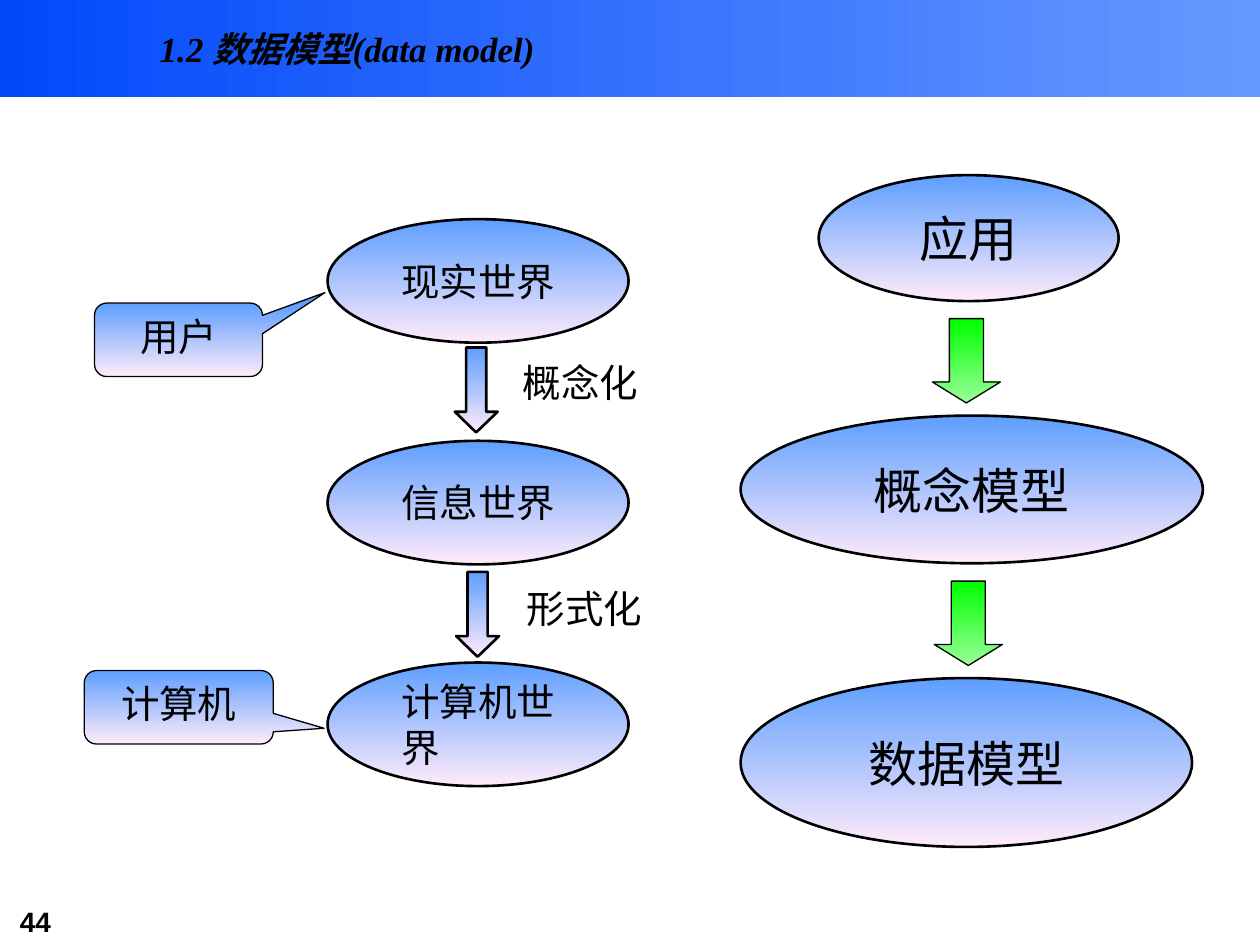
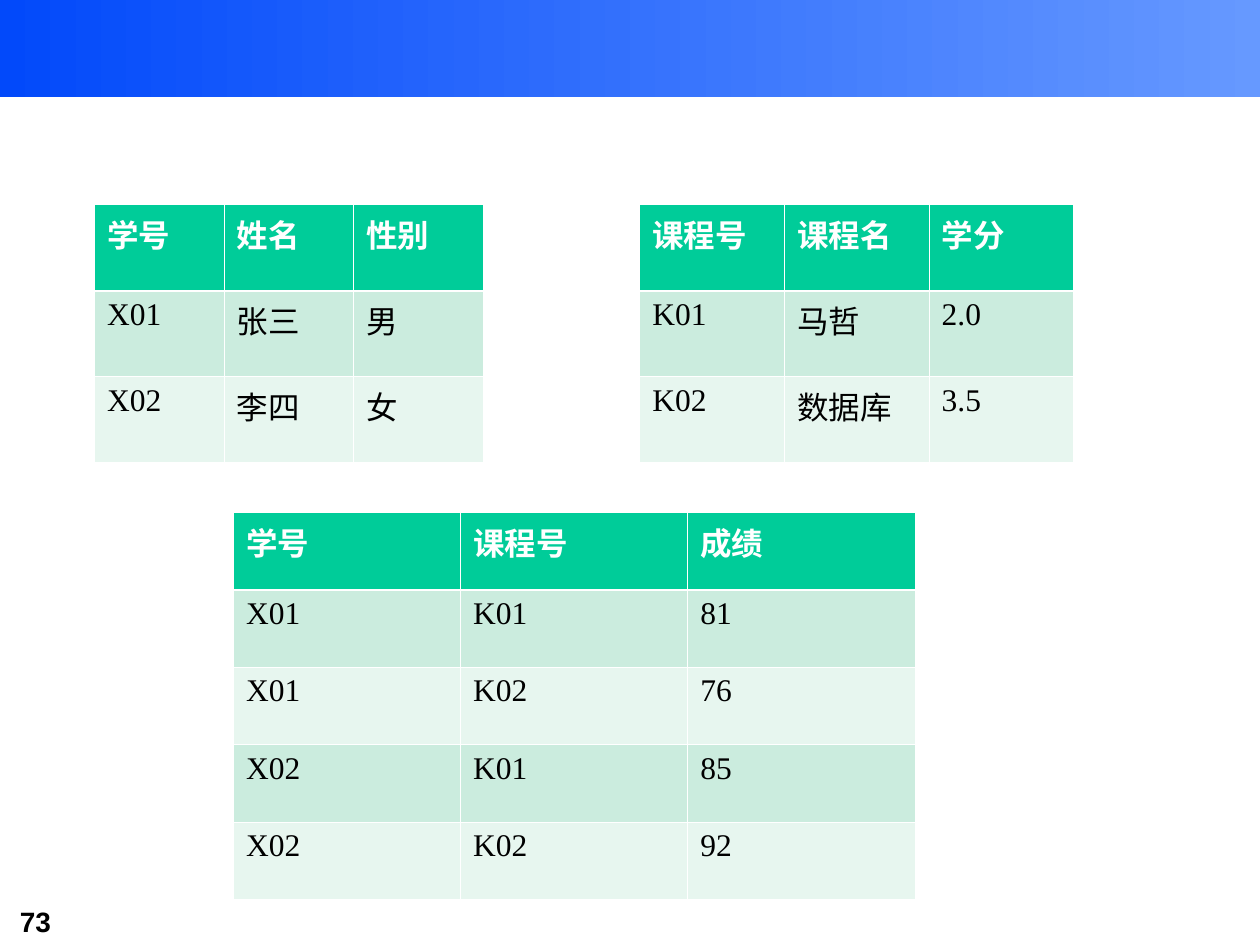
from lxml.etree import SubElement
from pptx import Presentation
from pptx.dml.color import RGBColor
from pptx.enum.shapes import MSO_SHAPE as Shape
from pptx.enum.text import MSO_ANCHOR as Anchor, PP_ALIGN as Align
from pptx.oxml.ns import qn
from pptx.util import Pt

COLORS = {
    "band_start": "0249FA",
    "band_end": "6699FF",
    "node_top": "5E9EFF",
    "node_bottom": "FFEBFA",
    "arrow_top": "00FF00",
    "arrow_bottom": "99FF99",
    "ink": "000000",
    "white": "FFFFFF",
    "header": "00CC99",
    "row_dark": "CBECDE",
    "row_light": "E7F6EF",
}
SERIF = "Times New Roman"
SANS = "Arial"
CHINESE = "Noto Sans CJK SC"
NODE = ("node_top", "node_bottom")
GREEN = ("arrow_top", "arrow_bottom")
DOWNWARD = 270


def color(name):
    return RGBColor.from_string(COLORS[name])


def write_text(frame, text, size=22, font=SERIF, ink="ink", bold=False, italic=False,
               align=Align.LEFT, anchor=Anchor.TOP, wrap=True, centre_block=False,
               margins=None, line_spacing=None, space_before=None):
    frame.word_wrap = wrap
    frame.vertical_anchor = anchor
    if centre_block:
        frame._txBody.bodyPr.set("anchorCtr", "1")
    if margins is not None:
        frame.margin_left = frame.margin_right = Pt(margins)
        frame.margin_top = frame.margin_bottom = Pt(margins)
    paragraph = frame.paragraphs[0]
    paragraph.alignment = align
    if line_spacing:
        paragraph.line_spacing = line_spacing
    if space_before:
        paragraph.space_before = Pt(space_before)
    run = paragraph.add_run()
    run.text = text
    run.font.size = Pt(size)
    run.font.name = font
    run.font.bold = bold
    run.font.italic = italic
    run.font.color.rgb = color(ink)
    SubElement(run._r.get_or_add_rPr(), qn("a:ea"), typeface=CHINESE)


def paint(shape, gradient, angle=DOWNWARD, line_width=None):
    shape.shadow.inherit = False
    shape.fill.gradient()
    shape.fill.gradient_angle = angle
    for stop, name in zip(shape.fill.gradient_stops, gradient):
        stop.color.rgb = color(name)
    if line_width:
        shape.line.color.rgb = color("ink")
        shape.line.width = Pt(line_width)
    else:
        shape.line.fill.background()


def add_painted(shapes, kind, box, gradient=NODE, **style):
    shape = shapes.add_shape(kind, *map(Pt, box))
    paint(shape, gradient, **style)
    return shape


def add_text(shapes, box, text, **style):
    write_text(shapes.add_textbox(*map(Pt, box)).text_frame, text, **style)


def add_ellipse(shapes, box, text, size):
    ellipse = add_painted(shapes, Shape.OVAL, box, line_width=1.5)
    write_text(ellipse.text_frame, text, size=size, font=CHINESE,
               anchor=Anchor.MIDDLE, centre_block=True)


def add_callout(shapes, box, text, tail):
    callout = add_painted(shapes, Shape.ROUNDED_RECTANGULAR_CALLOUT, box, line_width=0.75)
    for index, value in enumerate((*tail, 0.167)):
        callout.adjustments[index] = value
    write_text(callout.text_frame, text, align=Align.CENTER)


def add_step_arrow(shapes, left, top):
    outline = [(0, 36.7), (6.5, 36.7), (6.5, 0), (18, 0), (18, 36.7), (24.5, 36.7), (12.2, 48.5)]
    points = [(Pt(left + x), Pt(top + y)) for x, y in outline]
    builder = shapes.build_freeform(*points[0])
    builder.add_line_segments(points[1:], close=True)
    paint(builder.convert_to_shape(), NODE, line_width=1.5)


def add_frame(slide, number, title=None):
    add_painted(slide.shapes, Shape.RECTANGLE, (0, 0, 720, 55.4),
                ("band_start", "band_end"), angle=0)
    add_text(slide.shapes, (4.3, 513.4, 87.8, 26.6), number,
             size=16, font=SANS, bold=True, space_before=10)
    if title:
        add_text(slide.shapes, (84.2, 0, 390.2, 43.2), title,
                 size=20, bold=True, italic=True, line_spacing=1.5)


def add_worlds(slide, left, top):
    shapes = slide.shapes.add_group_shape().shapes
    pitch = 126.7
    for index, world in enumerate(("现实世界", "信息世界", "计算机世界")):
        add_ellipse(shapes, (left + 139, top + index * pitch, 172, 70.6), world, 22)
    steps = [("概念化", 211.7, 73.4, 250.6, 79.8), ("形式化", 212.5, 201.6, 252.8, 209.4)]
    for label, arrow_x, arrow_y, label_x, label_y in steps:
        add_step_arrow(shapes, left + arrow_x, top + arrow_y)
        add_text(shapes, (left + label_x, top + label_y, 66.2, 26.6), label,
                 font=CHINESE, wrap=False, margins=0)
    add_callout(shapes, (left + 5.8, top + 48, 96, 42), "用户", (0.872, -0.643))
    add_callout(shapes, (left, top + 258, 108, 42), "计算机", (0.769, 0.286))


def add_models(slide, left, top):
    shapes = slide.shapes.add_group_shape().shapes
    models = [
        ("应用", 44.6, 0, 171.4, 72),
        ("概念模型", 0, 137.4, 264.2, 84.4),
        ("数据模型", 0, 287.4, 258, 96.5),
    ]
    for model, x, y, width, height in models:
        add_ellipse(shapes, (left + x, top + y, width, height), model, 28)
    for x, y in ((109.6, 82), (110.7, 232)):
        arrow = add_painted(shapes, Shape.DOWN_ARROW, (left + x, top + y, 38.9, 48.2),
                            GREEN, line_width=0.75)
        arrow.adjustments[0] = 0.5
        arrow.adjustments[1] = 0.308


def add_borders(cell, row):
    widths = {"L": 0.45, "R": 0.45, "T": 1.47 if row == 1 else 0.45, "B": 1.47 if row == 0 else 0.45}
    properties = cell._tc.get_or_add_tcPr()
    for side, width in widths.items():
        line = SubElement(properties, qn(f"a:ln{side}"), w=str(Pt(width)))
        fill = SubElement(line, qn("a:solidFill"))
        SubElement(fill, qn("a:srgbClr"), val=COLORS["white"])


def add_relation(slide, box, records):
    left, top, width, height = box
    columns = len(records[0])
    table = slide.shapes.add_table(len(records), columns, *map(Pt, box)).table
    table.horz_banding = False
    for column in table.columns:
        column.width = Pt(width / columns)
    for index, record in enumerate(records):
        table.rows[index].height = Pt(height / len(records))
        is_header = index == 0
        fill = "header" if is_header else ("row_light", "row_dark")[index % 2]
        for cell, value in zip(table.rows[index].cells, record):
            add_borders(cell, index)
            cell.fill.solid()
            cell.fill.fore_color.rgb = color(fill)
            write_text(cell.text_frame, value, size=18, bold=is_header,
                       ink="white" if is_header else "ink")


def main():
    presentation = Presentation()
    presentation.slide_width = Pt(720)
    presentation.slide_height = Pt(540)
    blank = presentation.slide_layouts[6]

    model_slide = presentation.slides.add_slide(blank)
    add_frame(model_slide, "44", "1.2 数据模型(data model)")
    add_worlds(model_slide, 48.2, 125.2)
    add_models(model_slide, 423.2, 100.1)

    relation_slide = presentation.slides.add_slide(blank)
    add_frame(relation_slide, "73")
    add_relation(relation_slide, (54, 117, 222, 147.4), [
        ("学号", "姓名", "性别"),
        ("X01", "张三", "男"),
        ("X02", "李四", "女"),
    ])
    add_relation(relation_slide, (365.6, 117, 248, 147.4), [
        ("课程号", "课程名", "学分"),
        ("K01", "马哲", "2.0"),
        ("K02", "数据库", "3.5"),
    ])
    add_relation(relation_slide, (133.4, 292.7, 389.4, 221.4), [
        ("学号", "课程号", "成绩"),
        ("X01", "K01", "81"),
        ("X01", "K02", "76"),
        ("X02", "K01", "85"),
        ("X02", "K02", "92"),
    ])
    presentation.save("out.pptx")


if __name__ == "__main__":
    main()
